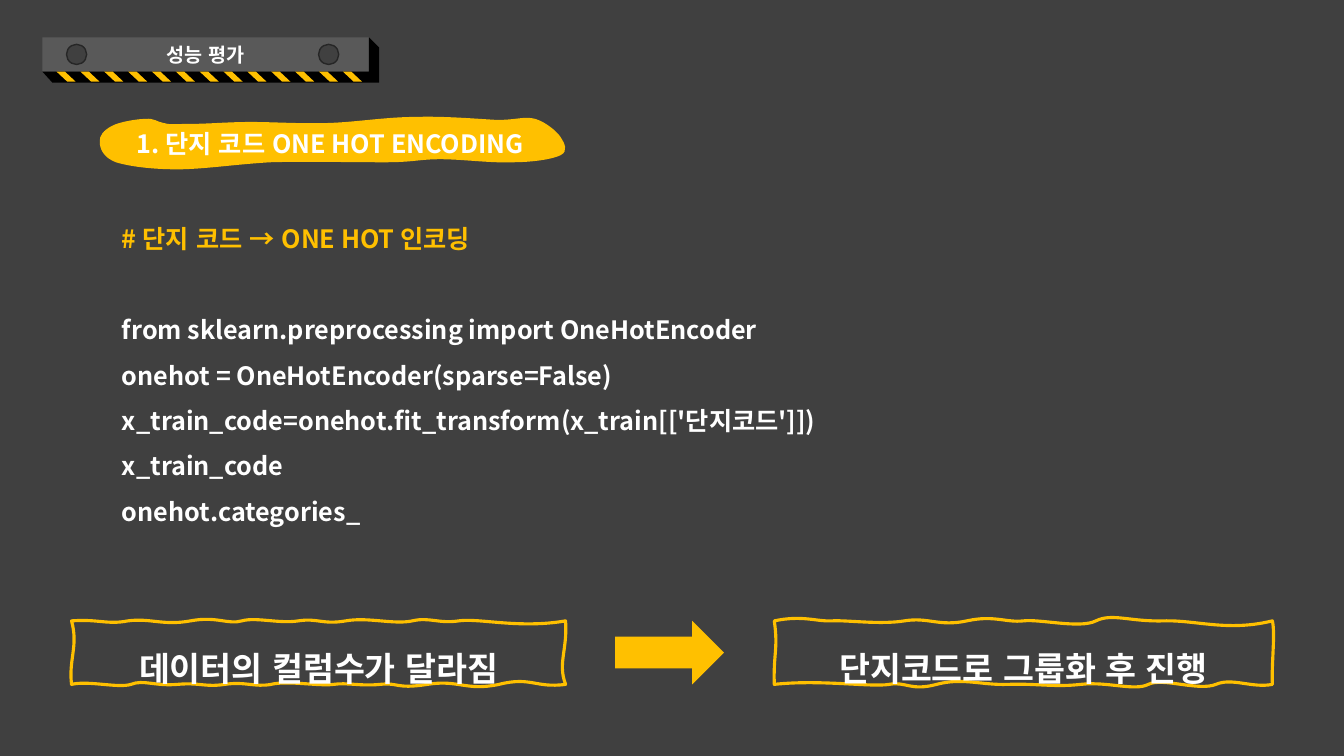
from dataclasses import dataclass
from typing import Any

import lxml.etree
import pptx
import pptx.dml.color
import pptx.enum.lang
import pptx.enum.shapes
import pptx.enum.text
import pptx.oxml.ns
import pptx.util

Inches = pptx.util.Inches
Pt = pptx.util.Pt
Preset = pptx.enum.shapes.MSO_SHAPE
Align = pptx.enum.text.PP_ALIGN
Anchor = pptx.enum.text.MSO_ANCHOR
qn = pptx.oxml.ns.qn

FONT = "Noto Sans CJK KR"
YELLOW, WHITE, BLACK = "FFC000", "FFFFFF", "000000"
CHARCOAL, STEEL, RIM = "404040", "595959", "262626"


@dataclass
class Curve:
    start: tuple[float, float]
    segments: list[tuple[float, ...]]


@dataclass
class Line:
    text: str
    size: float
    color: str = WHITE
    align: Any = Align.CENTER
    spacing: Any = 1.0
    before: float = 0


def color(hex_code: str) -> pptx.dml.color.RGBColor:
    return pptx.dml.color.RGBColor.from_string(hex_code)


def assign(target: Any, values: dict[str, Any]) -> None:
    for name, value in values.items():
        setattr(target, name, value)


def paint(shape: Any, fill: str | None, outline: str | None = None, width: float = 1) -> None:
    if fill:
        shape.fill.solid()
        shape.fill.fore_color.rgb = color(fill)
    else:
        shape.fill.background()
    if outline:
        shape.line.color.rgb = color(outline)
        shape.line.width = Pt(width)
    else:
        shape.line.fill.background()


def write(shape: Any, lines: list[Line], anchor: Any, margin_top: float = 0.05) -> None:
    frame = shape.text_frame
    assign(frame, {
        "word_wrap": True, "auto_size": pptx.enum.text.MSO_AUTO_SIZE.NONE,
        "vertical_anchor": anchor, "margin_top": Inches(margin_top),
        "margin_bottom": Inches(0.05),
    })
    for index, line in enumerate(lines):
        paragraph = frame.add_paragraph() if index else frame.paragraphs[0]
        assign(paragraph, {
            "alignment": line.align, "line_spacing": line.spacing,
            "space_before": Pt(line.before), "space_after": Pt(0),
        })
        run = paragraph.add_run()
        run.text = line.text
        assign(run.font, {"name": FONT, "size": Pt(line.size), "bold": True,
                          "language_id": pptx.enum.lang.MSO_LANGUAGE_ID.KOREAN})
        run.font.color.rgb = color(line.color)
        lxml.etree.SubElement(run.font._element, qn("a:ea")).set("typeface", FONT)


def place(shape: Any, left: float, top: float, width: float, height: float) -> None:
    assign(shape, {"left": Inches(left), "top": Inches(top),
                   "width": Inches(width), "height": Inches(height)})


def add_preset(preset: Any, left: float, top: float, width: float, height: float,
               fill: str, outline: str | None = None) -> Any:
    shape = slide.shapes.add_shape(preset, Inches(left), Inches(top),
                                   Inches(width), Inches(height))
    shape.shadow.inherit = False
    paint(shape, fill, outline)
    return shape


def add_outline(points: list[tuple[float, float]]) -> Any:
    corners = [(Inches(x), Inches(y)) for x, y in points]
    builder = slide.shapes.build_freeform(*corners[0])
    builder.add_line_segments(corners[1:], close=True)
    shape = builder.convert_to_shape()
    shape.shadow.inherit = False
    return shape


def add_curve(curve: Curve) -> Any:
    shape = add_outline([curve.start] + [segment[4:] for segment in curve.segments])
    edges = list(shape._element.iter(qn("a:lnTo")))
    for edge, segment in zip(edges, curve.segments):
        edge.tag = qn("a:cubicBezTo")
        for index, (x, y) in enumerate((segment[:2], segment[2:4])):
            control = lxml.etree.Element(qn("a:pt"))
            control.set("x", str(Inches(x) - shape.left))
            control.set("y", str(Inches(y) - shape.top))
            edge.insert(index, control)
    return shape


HEADING_BLOB = Curve((1.11, 1.25), [
    (1.03, 1.29, 0.98, 1.35, 0.99, 1.41), (0.99, 1.47, 1.02, 1.56, 1.15, 1.61),
    (1.28, 1.65, 1.5, 1.68, 1.76, 1.68), (2.01, 1.68, 2.34, 1.63, 2.68, 1.61),
    (3.02, 1.6, 3.44, 1.61, 3.82, 1.61), (4.1, 1.61, 4.16, 1.58, 4.37, 1.58),
    (4.58, 1.58, 4.88, 1.62, 5.08, 1.61), (5.28, 1.61, 5.48, 1.58, 5.56, 1.54),
    (5.64, 1.5, 5.6, 1.42, 5.56, 1.36), (5.52, 1.3, 5.41, 1.21, 5.31, 1.18),
    (5.2, 1.15, 5.13, 1.19, 4.93, 1.19), (4.74, 1.18, 4.4, 1.15, 4.12, 1.16),
    (3.84, 1.16, 3.54, 1.21, 3.27, 1.22), (2.99, 1.23, 2.72, 1.21, 2.49, 1.21),
    (2.25, 1.21, 2.07, 1.23, 1.86, 1.23), (1.72, 1.23, 1.69, 1.24, 1.62, 1.22),
    (1.56, 1.21, 1.53, 1.17, 1.44, 1.18), (1.36, 1.18, 1.18, 1.21, 1.11, 1.25),
])
PROBLEM_FRAME = Curve((0.71, 6.16), [
    (0.98, 6.14, 1.06, 6.2, 1.27, 6.16), (1.49, 6.13, 1.62, 6.21, 1.89, 6.16),
    (2.15, 6.11, 2.26, 6.2, 2.4, 6.16), (2.54, 6.12, 2.77, 6.19, 2.96, 6.16),
    (3.15, 6.13, 3.2, 6.2, 3.43, 6.16), (3.65, 6.12, 3.91, 6.2, 4.09, 6.16),
    (4.26, 6.12, 4.35, 6.19, 4.55, 6.16), (4.75, 6.13, 5.15, 6.24, 5.61, 6.16),
    (5.63, 6.45, 5.53, 6.58, 5.61, 6.79), (5.31, 6.83, 5.27, 6.71, 4.95, 6.79),
    (4.62, 6.86, 4.55, 6.74, 4.24, 6.79), (3.92, 6.84, 3.96, 6.77, 3.77, 6.79),
    (3.58, 6.81, 3.44, 6.77, 3.31, 6.79), (3.17, 6.81, 2.85, 6.75, 2.69, 6.79),
    (2.53, 6.82, 2.43, 6.76, 2.23, 6.79), (2.03, 6.82, 1.99, 6.77, 1.76, 6.79),
    (1.54, 6.81, 1.42, 6.74, 1.3, 6.79), (1.17, 6.83, 0.88, 6.75, 0.71, 6.79),
    (0.68, 6.54, 0.78, 6.41, 0.71, 6.16),
])
SOLUTION_FRAME = Curve((7.68, 6.16), [
    (7.96, 6.1, 8.11, 6.17, 8.25, 6.16), (8.39, 6.15, 8.73, 6.2, 8.97, 6.16),
    (9.21, 6.12, 9.31, 6.22, 9.59, 6.16), (9.86, 6.1, 9.98, 6.18, 10.15, 6.16),
    (10.32, 6.14, 10.71, 6.24, 10.87, 6.16), (11.03, 6.08, 11.21, 6.17, 11.54, 6.16),
    (11.87, 6.15, 12.17, 6.27, 12.62, 6.16), (12.65, 6.29, 12.61, 6.59, 12.62, 6.79),
    (12.42, 6.83, 12.22, 6.72, 12.06, 6.79), (11.89, 6.86, 11.53, 6.72, 11.39, 6.79),
    (11.25, 6.86, 10.99, 6.76, 10.72, 6.79), (10.46, 6.82, 10.28, 6.78, 10, 6.79),
    (9.73, 6.8, 9.55, 6.72, 9.29, 6.79), (9.03, 6.86, 8.99, 6.76, 8.82, 6.79),
    (8.64, 6.82, 8.14, 6.74, 7.68, 6.79), (7.67, 6.48, 7.72, 6.44, 7.68, 6.16),
])
CODE = """from sklearn.preprocessing import OneHotEncoder
onehot = OneHotEncoder(sparse=False)
x_train_code=onehot.fit_transform(x_train[['단지코드']])
x_train_code
onehot.categories_""".splitlines()

presentation = pptx.Presentation()
assign(presentation, {"slide_width": Inches(13.33), "slide_height": Inches(7.5)})
slide = presentation.slides.add_slide(presentation.slide_layouts[1])
slide.background.fill.solid()
slide.background.fill.fore_color.rgb = color(CHARCOAL)

banner, code_steps = slide.placeholders
place(banner, 0.42, 0.37, 3.24, 0.34)
paint(banner, STEEL)
write(banner, [Line("성능 평가", 14)], Anchor.MIDDLE)

paint(add_outline([(0.42, 0.71), (0.52, 0.82), (3.76, 0.82), (3.76, 0.47),
                   (3.66, 0.37), (3.66, 0.71)]), BLACK)
for bolt_left in (0.66, 3.16):
    add_preset(Preset.OVAL, bolt_left, 0.44, 0.2, 0.2, CHARCOAL, RIM)
for number in range(13):
    stripe = add_preset(Preset.PARALLELOGRAM, 0.56 + number * 2.84 / 12, 0.71, 0.19, 0.1, YELLOW)
    stripe.adjustments[0] = 1.07
    stripe._element.spPr.find(qn("a:xfrm")).set("flipH", "1")

place(code_steps, 1.11, 2.02, 9.3, 3.22)
step_format = {"size": 18, "align": Align.LEFT, "spacing": Pt(32.4)}
write(code_steps, [Line("# 단지 코드 → ONE HOT 인코딩", color=YELLOW, **step_format)] + [
    Line(text, before=0 if index else 32.4, **step_format) for index, text in enumerate(CODE)
], Anchor.TOP)
for paragraph in code_steps.text_frame.paragraphs:
    properties = paragraph._p.get_or_add_pPr()
    assign_indent = {"marL": "0", "indent": "0"}
    properties.attrib.update(assign_indent)
    lxml.etree.SubElement(properties, qn("a:buNone"))

heading = add_curve(HEADING_BLOB)
paint(heading, YELLOW)
write(heading, [Line("1. 단지 코드 ONE HOT ENCODING", 18)], Anchor.MIDDLE)

for outline, message in ((PROBLEM_FRAME, "데이터의 컬럼수가 달라짐"),
                         (SOLUTION_FRAME, "단지코드로 그룹화 후 진행")):
    conclusion = add_curve(outline)
    paint(conclusion, None, YELLOW, 2.25)
    write(conclusion, [Line(message, 24, spacing=Pt(45))], Anchor.TOP, 0.04)

add_preset(Preset.RIGHT_ARROW, 6.1, 6.16, 1.08, 0.63, YELLOW)
presentation.save("out.pptx")
